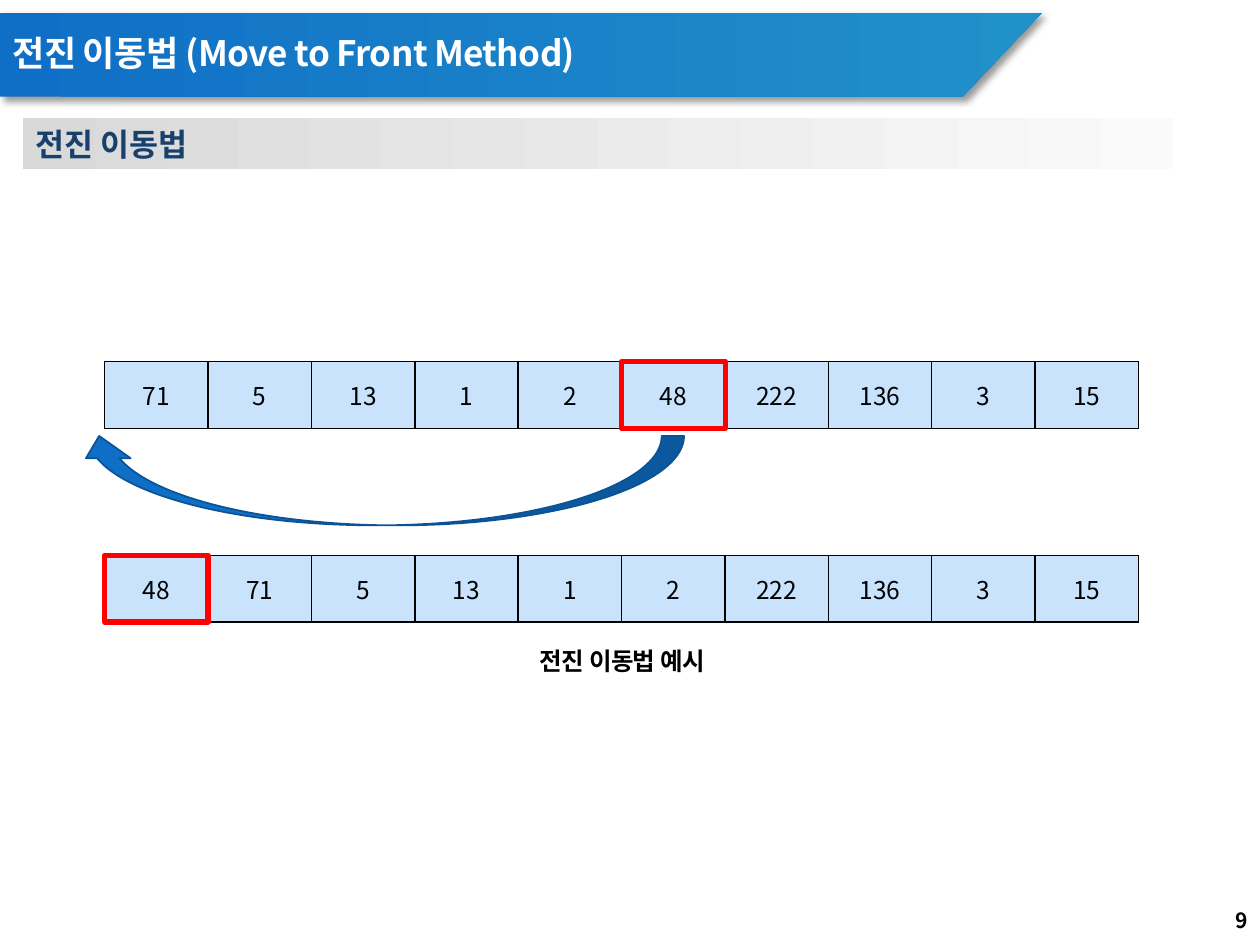
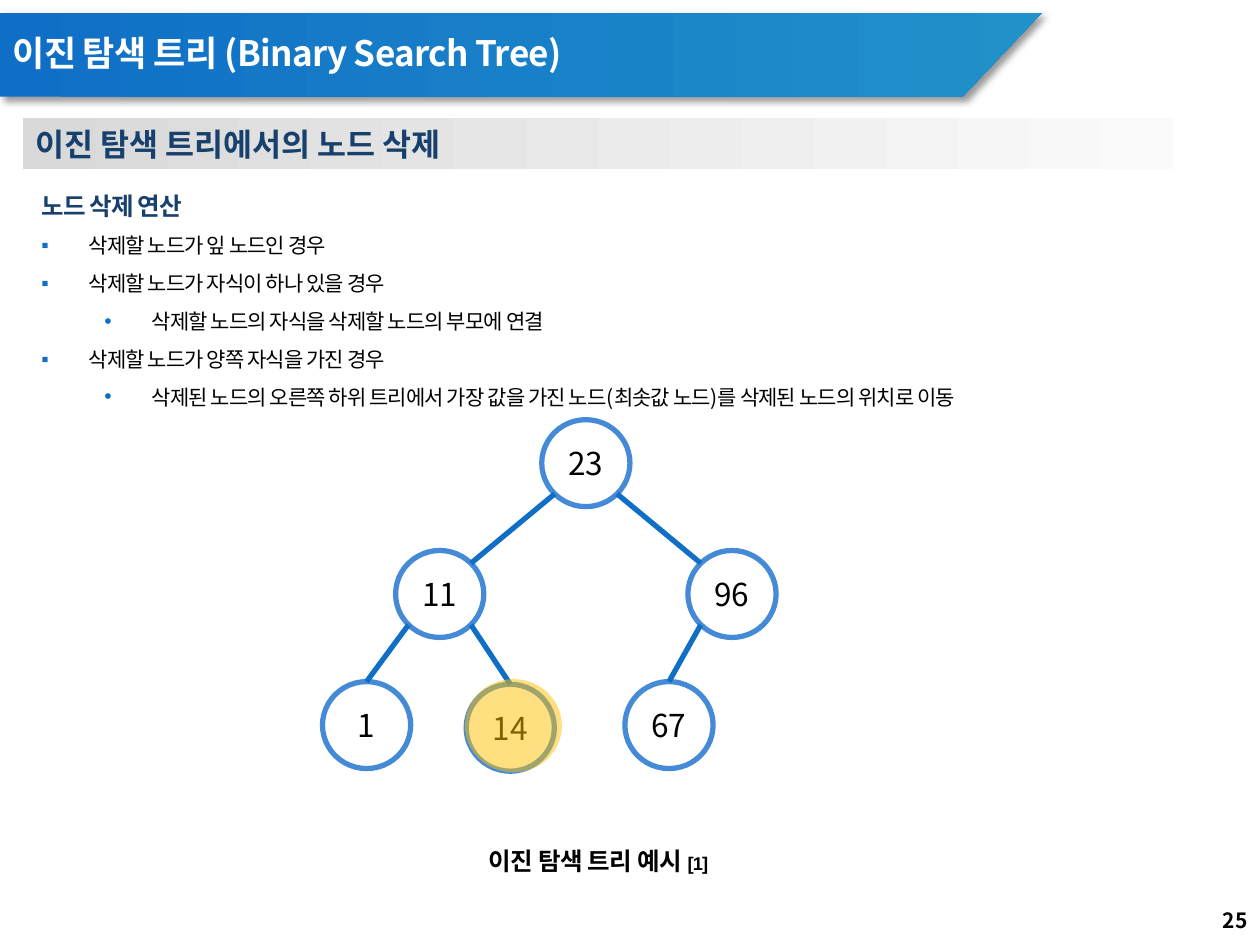
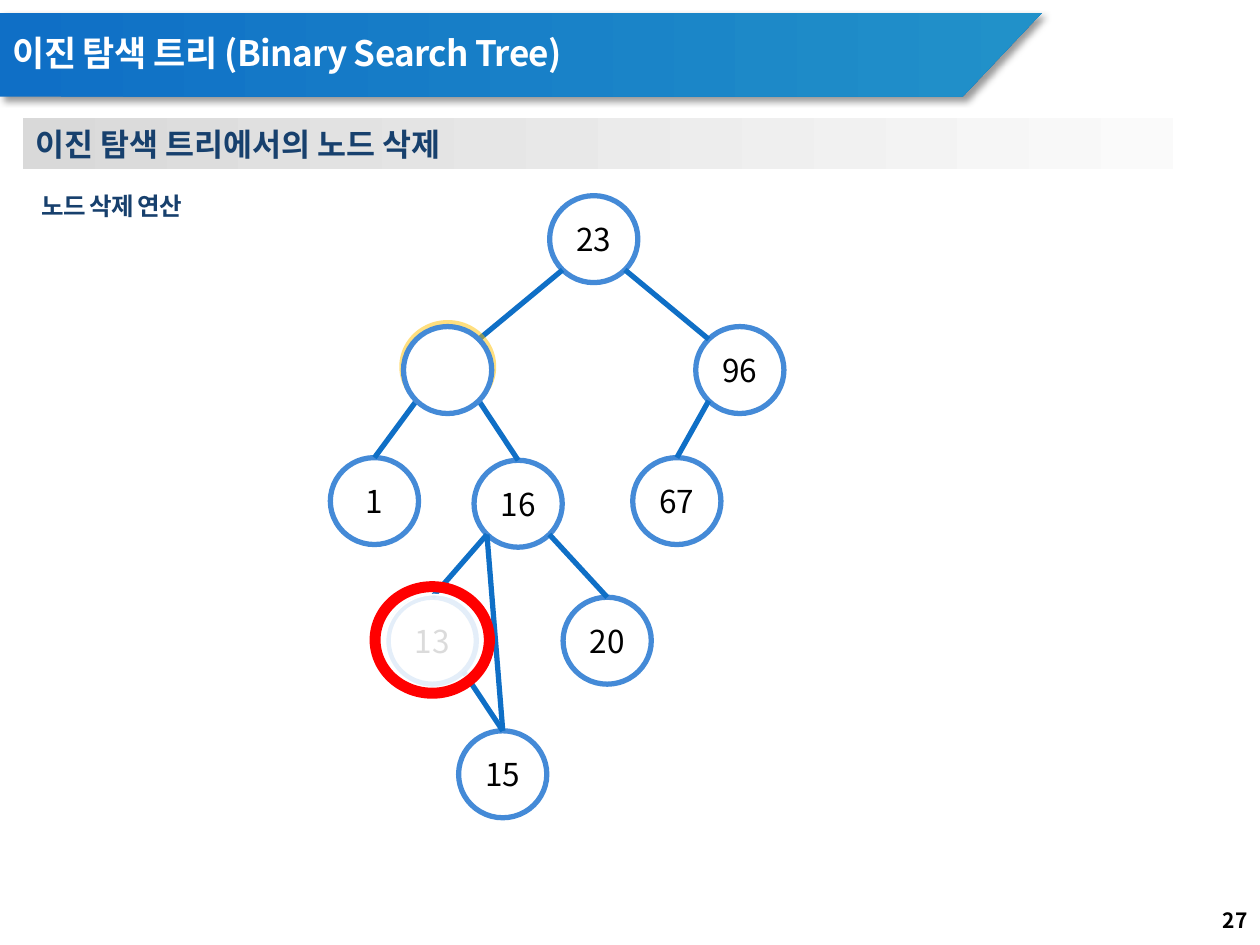
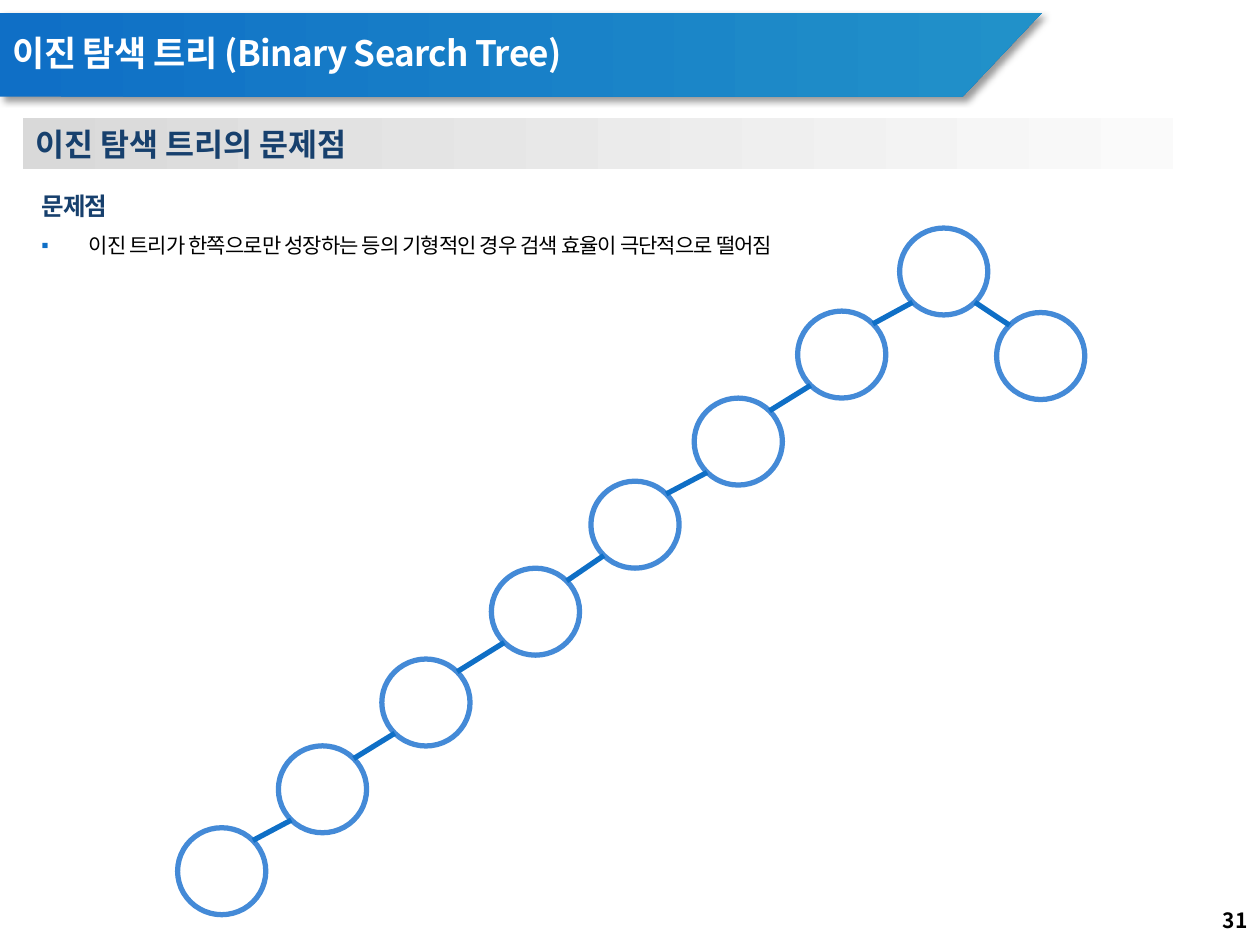
from itertools import pairwise

from lxml import etree
from pptx import Presentation
from pptx.dml.color import RGBColor
from pptx.enum import shapes, text
from pptx.oxml import ns
from pptx.util import Pt

SANS, CAPTION_FONT = "Noto Sans CJK KR", "Arial"
BLACK = RGBColor(0x00, 0x00, 0x00)
WHITE = RGBColor(0xFF, 0xFF, 0xFF)
RED = RGBColor(0xFF, 0x00, 0x00)
NAVY = RGBColor(0x17, 0x40, 0x6D)
BLUE = RGBColor(0x0F, 0x6F, 0xC6)
TEAL = RGBColor(0x21, 0x91, 0xC9)
DEEP_BLUE = RGBColor(0x0B, 0x53, 0x94)
RING_BLUE = RGBColor(0x44, 0x8A, 0xD7)
PALE_BLUE = RGBColor(0xC8, 0xE3, 0xFB)
AMBER = RGBColor(0xFF, 0xC0, 0x00)
GREY = RGBColor(0xD9, 0xD9, 0xD9)
PALE_GREY = RGBColor(0xFA, 0xFA, 0xFA)

NODE_W, NODE_H = 50.4, 49.7
HALO = (55.4, 53.3)
CORNER = 0.146  # inset of an ellipse's 45 degree point, as a share of its box
CELL_W, CELL_H, ARRAY_LEFT = 59.1, 38.2, 59.8

KIND = shapes.MSO_SHAPE
LEFT, CENTER, RIGHT = (text.PP_ALIGN.LEFT, text.PP_ALIGN.CENTER, text.PP_ALIGN.RIGHT)
TOP, MIDDLE = text.MSO_ANCHOR.TOP, text.MSO_ANCHOR.MIDDLE
GROW = text.MSO_AUTO_SIZE.SHAPE_TO_FIT_TEXT


def add_xml(parent, tag, **attributes):
    child = etree.SubElement(parent, ns.qn(tag))
    for name, value in attributes.items():
        child.set(name, str(value))
    return child


def box(left, top, width, height):
    return Pt(left), Pt(top), Pt(width), Pt(height)


class Deck:
    def __init__(self):
        self.prs = Presentation()
        self.prs.slide_width, self.prs.slide_height = Pt(720), Pt(540)
        self.layout = self.prs.slide_layouts[5]
        self.slide = None

    # Text styling
    def style(self, paragraph, size, color=BLACK, bold=False, font=SANS,
              align=None, spacing=0):
        paragraph.alignment = align
        for run in paragraph.runs:
            run.font.size, run.font.bold, run.font.name = Pt(size), bold, font
            run.font.color.rgb = color
            properties = run.font._element
            add_xml(properties, "a:ea", typeface=font)
            if spacing:
                properties.set("spc", str(round(spacing * 100)))

    def gradient(self, shape, start, end):
        shape.fill.gradient()
        shape.fill.gradient_angle = 0
        for stop, color in zip(shape.fill.gradient_stops, (start, end)):
            stop.color.rgb = color
        shape.line.fill.background()

    # Slide frame
    def new_slide(self, title, heading, number):
        self.slide = self.prs.slides.add_slide(self.layout)
        if len(self.prs.slides) == 1:
            self.layout_band()
        name = self.slide.shapes.title
        name.left, name.top, name.width, name.height = box(0, 14.4, 481.7, 33.8)
        frame = name.text_frame
        frame.text = title
        frame.vertical_anchor = MIDDLE
        frame.auto_size = text.MSO_AUTO_SIZE.NONE
        frame.paragraphs[0].line_spacing = 0.9
        self.style(frame.paragraphs[0], 20, WHITE, True, align=LEFT, spacing=-0.4)

        page = self.text_box(558, 511.2, 162, 28.8, str(number))
        page.vertical_anchor = MIDDLE
        self.style(page.paragraphs[0], 12, bold=True, align=RIGHT)

        strip = self.shape(KIND.RECTANGLE, 13, 67.7, 657.4, 28.8)
        self.gradient(strip, GREY, PALE_GREY)
        strip.text_frame.text = heading
        strip.text_frame.vertical_anchor = TOP
        strip.text_frame.auto_size = GROW
        self.style(strip.text_frame.paragraphs[0], 18, NAVY, True, align=LEFT)

    def layout_band(self):
        """Draw the title band and hand it to the layout, behind every title."""
        corners = [(0, 7.2), (595.4, 7.2), (550.1, 55.2), (0, 55.2)]
        start, *rest = [(Pt(x), Pt(y)) for x, y in corners]
        outline = self.slide.shapes.build_freeform(*start)
        outline.add_line_segments(rest, close=True)
        band = outline.convert_to_shape()
        self.gradient(band, BLUE, TEAL)
        band.shadow.inherit = False
        effects = band.element.spPr.find(ns.qn("a:effectLst"))
        shadow = add_xml(effects, "a:outerShdw", blurRad=Pt(4), dist=Pt(3),
                         dir=45 * 60000, algn="tl", rotWithShape=0)
        add_xml(add_xml(shadow, "a:srgbClr", val=BLACK), "a:alpha", val=40000)
        self.layout.shapes.element.insert(2, band.element)

    # Basic elements
    def text_box(self, left, top, width, height, content):
        frame = self.slide.shapes.add_textbox(*box(left, top, width, height)).text_frame
        frame.word_wrap = True
        frame.text = content
        return frame

    def shape(self, kind, left, top, width, height, fill=None, line=None,
              weight=1, opacity=100):
        shape = self.slide.shapes.add_shape(kind, *box(left, top, width, height))
        shape.shadow.inherit = False
        if fill is None:
            shape.fill.background()
        else:
            shape.fill.solid()
            shape.fill.fore_color.rgb = fill
            if opacity < 100:
                color = shape.element.spPr.find(".//" + ns.qn("a:srgbClr"))
                add_xml(color, "a:alpha", val=opacity * 1000)
        if line is None:
            shape.line.fill.background()
        else:
            shape.line.color.rgb, shape.line.width = line, Pt(weight)
        return shape

    def caption(self, left, top, content, source=""):
        frame = self.text_box(left, top, 452.2, 24.5, content)
        frame.auto_size = GROW
        paragraph = frame.paragraphs[0]
        if source:
            paragraph.add_run().text = source
        self.style(paragraph, 14, bold=True, font=CAPTION_FONT, align=CENTER, spacing=-0.5)
        if source:
            paragraph.runs[-1].font.size = Pt(10.5)

    def body(self, height, topic, points=()):
        """A topic line, then (level, wording) bullet points."""
        frame = self.text_box(16.6, 97.2, 680.4, height, topic)
        frame.auto_size = GROW
        frame.paragraphs[0].line_spacing = 1.5
        self.style(frame.paragraphs[0], 14, NAVY, True, spacing=-0.5)
        for level, wording in points:
            point = frame.add_paragraph()
            point.text, point.level, point.line_spacing = wording, level, 1.5
            self.style(point, 12, spacing=-0.5)
            properties = point._p.get_or_add_pPr()
            properties.set("marL", str(Pt(27 + 36 * level)))
            properties.set("indent", str(Pt(-27)))
            add_xml(add_xml(properties, "a:buClr"), "a:srgbClr", val=BLUE)
            add_xml(properties, "a:buFont", typeface="Arial")
            add_xml(properties, "a:buChar", char="▪•"[level])

    # Array row
    def array(self, top, values):
        frame = self.slide.shapes.add_table(
            1, len(values), *box(ARRAY_LEFT, top, CELL_W * len(values), CELL_H))
        table = frame.table
        table.first_row = table.horz_banding = False
        for column, value in zip(table.columns, values):
            column.width = Pt(CELL_W)
        for cell, value in zip(table.iter_cells(), values):
            cell.text = str(value)
            cell.vertical_anchor = MIDDLE
            self.style(cell.text_frame.paragraphs[0], 14, align=CENTER)
            properties = cell._tc.get_or_add_tcPr()
            for side in ("a:lnL", "a:lnR", "a:lnT", "a:lnB"):
                border = add_xml(properties, side, w=Pt(1))
                add_xml(add_xml(border, "a:solidFill"), "a:srgbClr", val=BLACK)
            cell.fill.solid()
            cell.fill.fore_color.rgb = PALE_BLUE

    def mark_cell(self, top, index):
        self.shape(KIND.RECTANGLE, ARRAY_LEFT + index * CELL_W, top, CELL_W, CELL_H,
                   line=RED, weight=3)

    # Tree parts, placed by a node's left top point
    def node(self, place, label=""):
        circle = self.shape(KIND.OVAL, *place, NODE_W, NODE_H, WHITE, RING_BLUE, 3)
        if label:
            frame = circle.text_frame
            frame.text = label
            frame.word_wrap = False
            frame.vertical_anchor = MIDDLE
            self.style(frame.paragraphs[0], 18, align=CENTER)

    def edge(self, parent, child, to_top=True):
        """Join a parent's lower corner to a child's top or facing corner."""
        leftward = child[0] < parent[0]
        near, far = (CORNER, 1 - CORNER) if leftward else (1 - CORNER, CORNER)
        end_x, end_y = (0.5, 0) if to_top else (far, CORNER)
        link = self.slide.shapes.add_connector(
            shapes.MSO_CONNECTOR.STRAIGHT,
            Pt(parent[0] + near * NODE_W), Pt(parent[1] + (1 - CORNER) * NODE_H),
            Pt(child[0] + end_x * NODE_W), Pt(child[1] + end_y * NODE_H))
        link.line.color.rgb, link.line.width = BLUE, Pt(3)
        add_xml(link.element.spPr, "a:effectLst")

    def halo(self, left, top, color=AMBER, opacity=50, line=None):
        self.shape(KIND.OVAL, left, top, *HALO, color, line, opacity=opacity)

    def six_node_tree(self, labels, shift=(0, 0)):
        """Draw root, two children and three leaves; an empty label is not drawn."""
        spots = [(309.6, 239.8), (226.1, 314.6), (393.1, 314.6),
                 (184.3, 389.5), (266.4, 391), (357.1, 389.5)]
        spots = [(x + shift[0], y + shift[1]) for x, y in spots]
        for spot, label in zip(spots, labels):
            if label:
                self.node(spot, label)
        for parent, child in [(0, 1), (1, 3), (1, 4), (0, 2), (2, 5)]:
            self.edge(spots[parent], spots[child], to_top=parent > 0)
        return spots


BST = "이진 탐색 트리 (Binary Search Tree)"
DELETION = "이진 탐색 트리에서의 노드 삭제"
DELETE_STEP = "노드 삭제 연산"


def move_to_front(deck):
    deck.new_slide("전진 이동법 (Move to Front Method)", "전진 이동법", 9)
    deck.caption(129.6, 365.8, "전진 이동법 예시")
    before = [71, 5, 13, 1, 2, 48, 222, 136, 3, 15]
    found = before.index(48)
    after = [48] + before[:found] + before[found + 1:]
    before_top, after_top = 206.6, 317.3
    deck.array(before_top, before)
    deck.array(after_top, after)
    move = deck.shape(KIND.CURVED_UP_ARROW, 43.9, 249.1, 347, 51.1, BLUE, DEEP_BLUE)
    move.element.spPr.find(ns.qn("a:xfrm")).set("flipH", "1")
    deck.mark_cell(before_top, found)
    deck.mark_cell(after_top, 0)


def deletion_cases(deck):
    deck.new_slide(BST, DELETION, 25)
    deck.body(139, DELETE_STEP, [
        (0, "삭제할 노드가 잎 노드인 경우"),
        (0, "삭제할 노드가 자식이 하나 있을 경우"),
        (1, "삭제할 노드의 자식을 삭제할 노드의 부모에 연결"),
        (0, "삭제할 노드가 양쪽 자식을 가진 경우"),
        (1, "삭제된 노드의 오른쪽 하위 트리에서 가장 값을 가진 노드(최솟값 노드)를 "
            "삭제된 노드의 위치로 이동"),
    ])
    deck.caption(115.9, 480.2, "이진 탐색 트리 예시 ", "[1]")
    deck.six_node_tree(["23", "11", "96", "1", "14", "67"])
    deck.halo(265.7, 388.1)


def two_child_deletion(deck):
    deck.new_slide(BST, DELETION, 27)
    deck.body(29.5, DELETE_STEP)
    spots = deck.six_node_tree(["23", "", "96", "1", "16", "67"], shift=(4.5, -128))
    vacant, node_16 = spots[1], spots[4]

    # Lower subtree
    node_13, node_20, node_15 = (221.8, 341.3), (321.8, 341.3), (262.1, 417.6)
    for place, label in [(node_13, "13"), (node_20, "20"), (node_15, "15")]:
        deck.node(place, label)
    for parent, child in [(node_13, node_15), (node_16, node_13), (node_16, node_20)]:
        deck.edge(parent, child)

    # Moved minimum and its vacated target
    deck.halo(228.2, 182.9)
    deck.halo(220.3, 339.8, WHITE, 86, WHITE)
    deck.edge(node_16, node_15)
    ring = deck.shape(KIND.DONUT, 211.7, 332.6, 70.6, 66.2, RED, RED)
    ring.adjustments[0] = 0.08
    deck.node(vacant)


def skewed_tree(deck):
    deck.new_slide(BST, "이진 탐색 트리의 문제점", 31)
    deck.body(51.8, "문제점", [
        (0, "이진 트리가 한쪽으로만 성장하는 등의 기형적인 경우 검색 효율이 극단적으로 떨어짐")])
    chain = [(514.1, 130.3), (455.8, 177.8), (396.7, 227.5), (337.7, 275),
             (280.8, 324.7), (218.2, 376.6), (159.1, 426.2), (101.5, 473)]
    right_child = (569.5, 178.6)
    for place in [*chain, right_child]:
        deck.node(place)
    for parent, child in [*pairwise(chain), (chain[0], right_child)]:
        deck.edge(parent, child, to_top=False)


def main():
    deck = Deck()
    for build in (move_to_front, deletion_cases, two_child_deletion, skewed_tree):
        build(deck)
    deck.prs.save("out.pptx")


if __name__ == "__main__":
    main()
